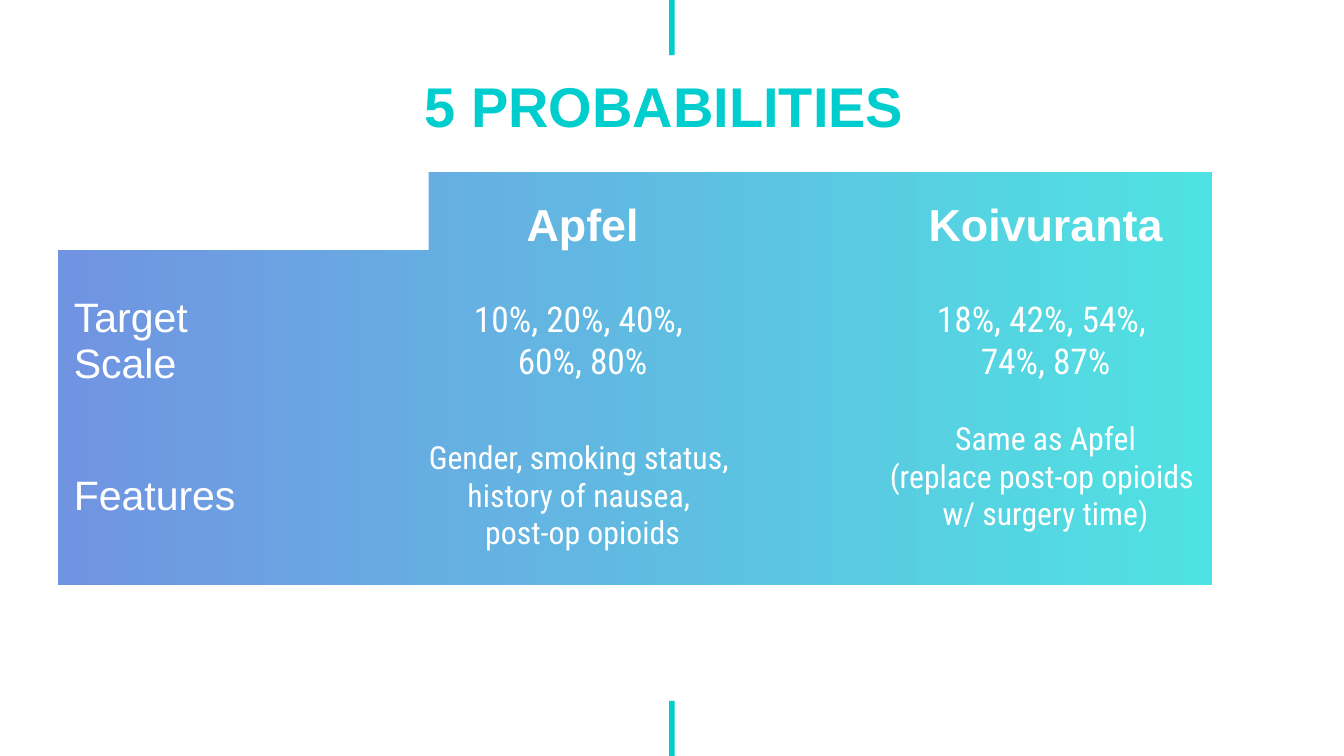
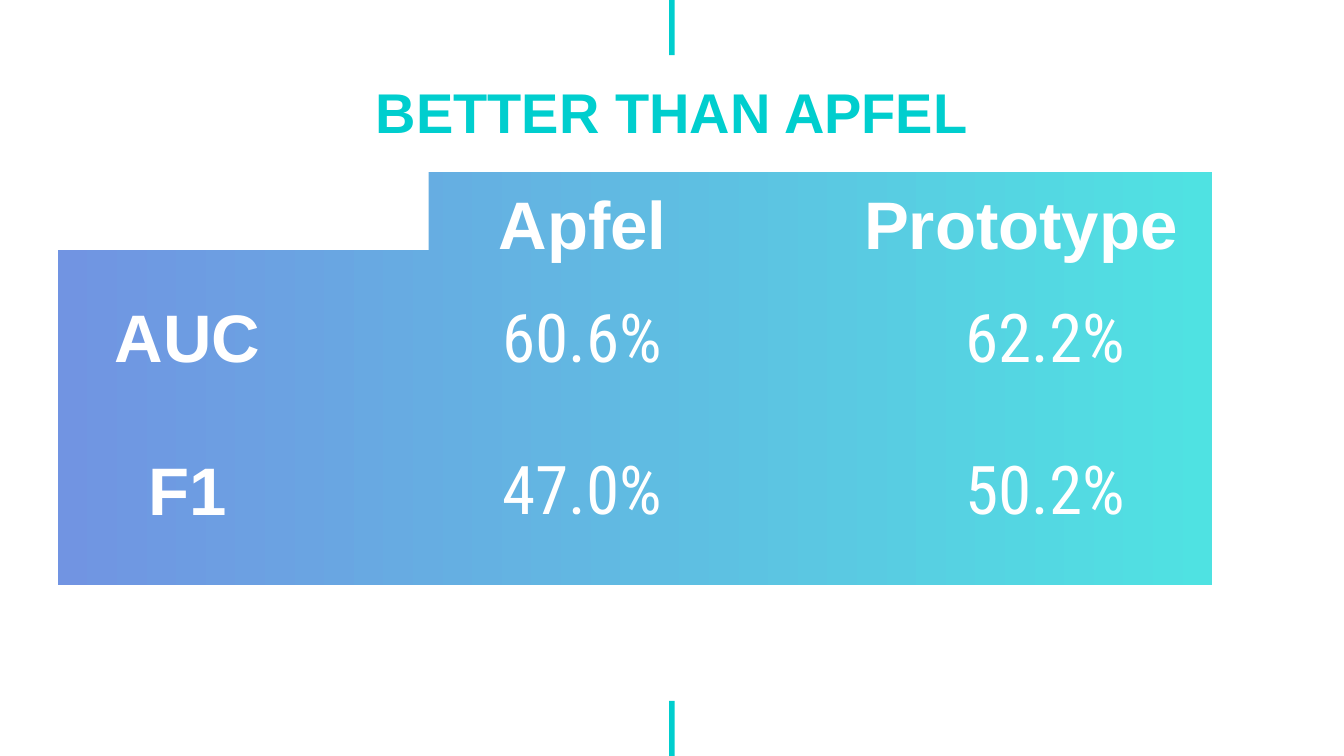
import pptx
import pptx.util
import pptx.dml.color
import pptx.enum.shapes
import pptx.enum.text
import pptx.oxml.ns

Inches = pptx.util.Inches
RGBColor = pptx.dml.color.RGBColor
ALIGN = pptx.enum.text.PP_ALIGN
ANCHOR = pptx.enum.text.MSO_ANCHOR

TEAL = RGBColor(0x00, 0xCE, 0xCE)
PERIWINKLE = RGBColor(0x71, 0x94, 0xE2)
AQUA = RGBColor(0x4F, 0xE2, 0xE2)
WHITE = RGBColor(0xFF, 0xFF, 0xFF)

HEAD_FONT = "Arial"
BODY_FONT = "Roboto Condensed"
NO_STYLE = "{2D5ABB26-0587-4C30-8999-92F81FD0307C}"

SLIDE_W, SLIDE_H = 10, 5.625
PANEL = (0.43, 1.28, 8.59, 3.07)
COLS = (1.93, 3.95, 2.94)
ROWS = (0.8, 0.89, 1.38)
CELL_INSET = 0.12


def write(tf, text, size, font=HEAD_FONT, color=WHITE, bold=False,
          align=ALIGN.CENTER):
    """Fill a text frame, one paragraph for each line of text."""
    for i, line in enumerate(text.split("\n")):
        p = tf.paragraphs[0] if i == 0 else tf.add_paragraph()
        p.alignment = align
        r = p.add_run()
        r.text = line
        r.font.size = pptx.util.Pt(size)
        r.font.name = font
        r.font.bold = bold
        r.font.color.rgb = color


def add_rect(shapes, box, *colors):
    """Borderless rectangle; two colours make a left-to-right gradient."""
    sp = shapes.add_shape(pptx.enum.shapes.MSO_SHAPE.RECTANGLE,
                          *map(Inches, box))
    sp.shadow.inherit = False
    sp.line.fill.background()
    if len(colors) == 1:
        sp.fill.solid()
        sp.fill.fore_color.rgb = colors[0]
    else:
        sp.fill.gradient()
        sp.fill.gradient_angle = 0
        for stop, color in zip(sp.fill.gradient_stops, colors):
            stop.color.rgb = color
    return sp


def add_ticks(layout, s):
    """Centre ticks at the top and bottom edges, moved to the layout."""
    w, h = 0.04, 0.41
    for y in (0, SLIDE_H - h):
        tick = add_rect(s.shapes, ((SLIDE_W - w) / 2, y, w, h), TEAL)
        layout.shapes.element.append(tick.element)


def add_title(s, text, y):
    """Place the title in front of the panel and its corner mask."""
    title = s.shapes.title
    s.shapes.element.append(title.element)
    title.left, title.top, title.width, title.height = map(
        Inches, (1.9, y, 6.2, 0.79))
    tf = title.text_frame
    tf.word_wrap = True
    tf.auto_size = pptx.enum.text.MSO_AUTO_SIZE.NONE
    tf.vertical_anchor = ANCHOR.TOP
    tf.margin_left = tf.margin_right = Inches(0.1)
    tf.margin_top = tf.margin_bottom = Inches(0.1)
    write(tf, text, 30, color=TEAL, bold=True)


def add_panel(s, box):
    """Gradient panel with its top left corner masked in white."""
    x, y, _, _ = box
    group = s.shapes.add_group_shape()
    add_rect(group.shapes, box, PERIWINKLE, AQUA)
    add_rect(group.shapes, (x, y - 0.48, 2.76, 1.06), WHITE)


def add_grid(s, box, rows):
    """Clear table; each cell is None or a (text, format) pair."""
    x, y, _, h = box
    frame = s.shapes.add_table(len(ROWS), len(COLS), Inches(x), Inches(y),
                               Inches(sum(COLS)), Inches(h))
    for style in frame.element.iter(pptx.oxml.ns.qn("a:tableStyleId")):
        style.text = NO_STYLE
    table = frame.table
    table.first_row = table.horz_banding = False
    for col, width in zip(table.columns, COLS):
        col.width = Inches(width)
    for row, height in zip(table.rows, ROWS):
        row.height = Inches(height)

    for i, row in enumerate(rows):
        for j, content in enumerate(row):
            cell = table.cell(i, j)
            cell.fill.background()
            cell.vertical_anchor = ANCHOR.MIDDLE
            cell.margin_left = cell.margin_right = Inches(CELL_INSET)
            cell.margin_top = cell.margin_bottom = Inches(CELL_INSET)
            if content:
                text, style = content
                write(cell.text_frame, text, **style)
    return table


def comparison_slide(prs, title, title_y, rows):
    s = prs.slides.add_slide(prs.slide_layouts[5])
    add_panel(s, PANEL)
    table = add_grid(s, PANEL, rows)
    add_title(s, title, title_y)
    return s, table


def main():
    prs = pptx.Presentation()
    prs.slide_width, prs.slide_height = Inches(SLIDE_W), Inches(SLIDE_H)

    # Scores and their features
    head = dict(size=24, bold=True)
    label = dict(size=22, align=ALIGN.LEFT)
    scale = dict(size=19, font=BODY_FONT)
    feature = dict(size=17, font=BODY_FONT)
    s, table = comparison_slide(prs, "5 PROBABILITIES ", 0.43, [
        [None, ("Apfel", head), ("Koivuranta", head)],
        [("Target Scale", label),
         ("10%, 20%, 40%, \n60%, 80%", scale),
         ("18%, 42%, 54%, \n74%, 87%", scale)],
        [("Features", label),
         ("Gender, smoking status, \nhistory of nausea, \npost-op opioids",
          feature),
         ("Same as Apfel\n(replace post-op opioids \nw/ surgery time)",
          feature)],
    ])
    # The last cell sits one half line higher than its row
    table.cell(2, 2).margin_bottom = Inches(CELL_INSET + 0.28)
    add_ticks(s.slide_layout, s)

    # Results
    head = dict(size=36, bold=True)
    value = dict(size=36, font=BODY_FONT)
    comparison_slide(prs, "BETTER THAN APFEL", 0.48, [
        [None, ("Apfel", head), ("Prototype", dict(head, align=ALIGN.LEFT))],
        [("AUC", head), ("60.6%", value), ("62.2%", value)],
        [("F1", head), ("47.0%", value), ("50.2%", value)],
    ])

    prs.save("out.pptx")


if __name__ == "__main__":
    main()
